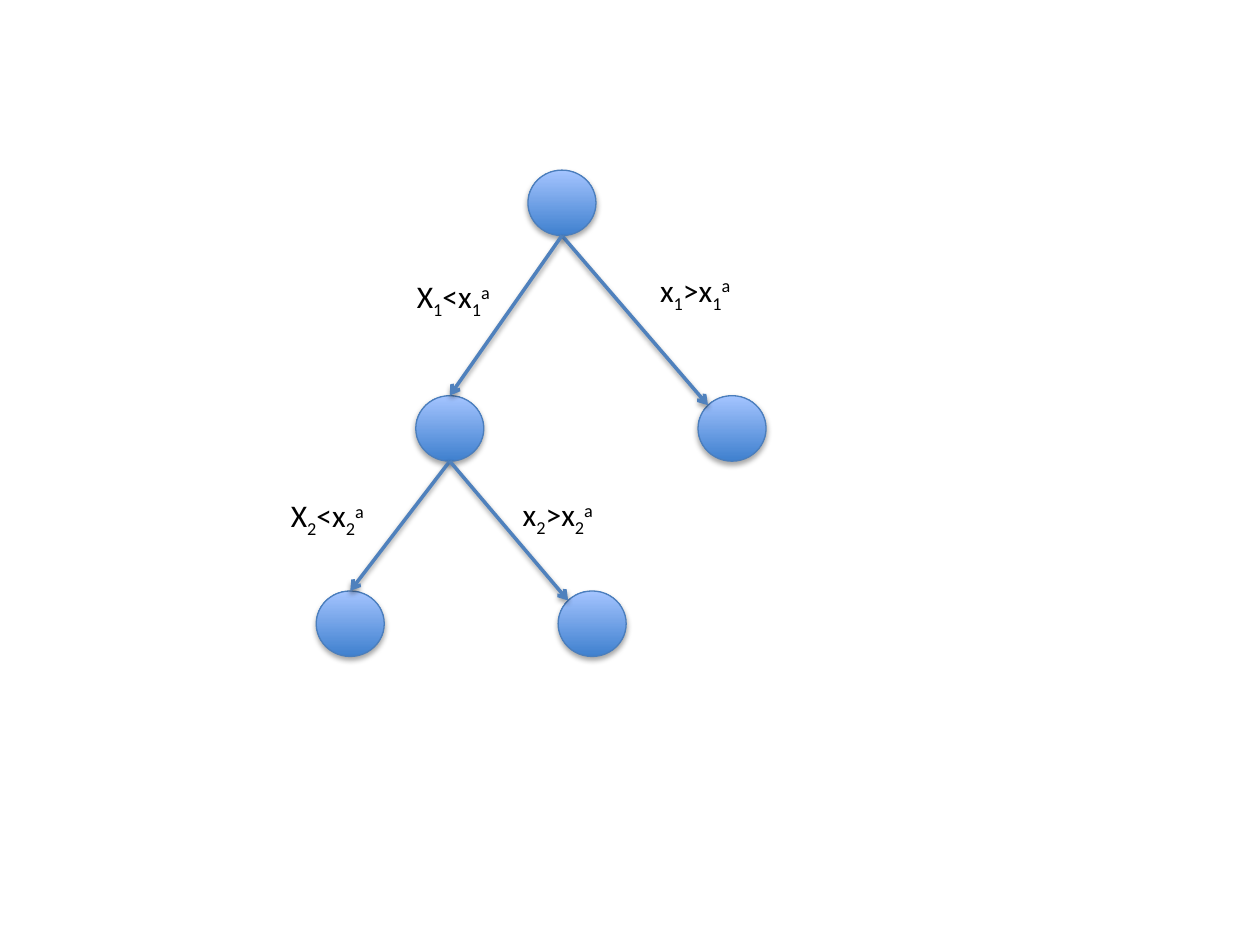
from math import sqrt

from lxml.etree import SubElement
from pptx import Presentation
from pptx.dml.color import RGBColor
from pptx.enum.shapes import MSO_CONNECTOR as Connector, MSO_SHAPE as Shape
from pptx.enum.text import MSO_AUTO_SIZE as AutoSize
from pptx.oxml.ns import qn
from pptx.util import Inches, Pt

NODE_BOTTOM = RGBColor(0x3F, 0x80, 0xCE)
NODE_TOP = RGBColor(0xA4, 0xC4, 0xFF)
NODE_EDGE = RGBColor(0x4B, 0x7E, 0xBC)
BRANCH = RGBColor(0x4F, 0x81, 0xBD)
BLACK = RGBColor(0, 0, 0)

NODE_W, NODE_H = 0.54, 0.52
SUBSCRIPT, SUPERSCRIPT = -25000, 30000


def add_shadow(shape, distance, opacity):
    """Put a soft black shadow under a shape whose line is already set."""
    effects = SubElement(shape._element.spPr, qn("a:effectLst"))
    outer = SubElement(effects, qn("a:outerShdw"), blurRad=str(Pt(3.1)),
                       dist=str(Pt(distance)), dir="5400000", rotWithShape="0")
    black = SubElement(outer, qn("a:srgbClr"), val="000000")
    SubElement(black, qn("a:alpha"), val=str(opacity * 1000))


prs = Presentation()
prs.slide_width, prs.slide_height = Inches(10), Inches(7.5)
slide = prs.slides.add_slide(prs.slide_layouts[6])

# Nodes of the decision tree: left, top
nodes = {
    "root": (4.19, 1.35),
    "right": (5.54, 3.14),
    "left": (3.3, 3.14),
    "left-right": (4.43, 4.69),
    "left-left": (2.51, 4.69),
}
for left, top in nodes.values():
    node = slide.shapes.add_shape(Shape.OVAL, Inches(left), Inches(top),
                                  Inches(NODE_W), Inches(NODE_H))
    node.fill.gradient()
    node.fill.gradient_angle = 90
    for stop, color in zip(node.fill.gradient_stops, (NODE_BOTTOM, NODE_TOP)):
        stop.color.rgb = color
    node.line.color.rgb = NODE_EDGE
    node.line.width = Pt(0.75)
    add_shadow(node, 1.8, 35)

# Left branches end at the top of a node, right branches at its upper left
top_end = (NODE_W / 2, 0)
upper_left_end = (NODE_W / 2 * (1 - sqrt(0.5)), NODE_H / 2 * (1 - sqrt(0.5)))
branches = [
    ("root", "right", upper_left_end),
    ("root", "left", top_end),
    ("left", "left-left", top_end),
    ("left", "left-right", upper_left_end),
]
for parent, child, (dx, dy) in branches:
    parent_left, parent_top = nodes[parent]
    child_left, child_top = nodes[child]
    branch = slide.shapes.add_connector(
        Connector.STRAIGHT,
        Inches(parent_left + NODE_W / 2), Inches(parent_top + NODE_H),
        Inches(child_left + dx), Inches(child_top + dy))
    branch.line.color.rgb = BRANCH
    branch.line.width = Pt(2)
    SubElement(branch.line._get_or_add_ln(), qn("a:tailEnd"), type="arrow")
    add_shadow(branch, 1.6, 38)

# Split conditions: left, top, width, variable, comparison, index
conditions = [
    (5.14, 2.1, 0.81, "x", ">x", "1"),
    (3.21, 2.15, 0.82, "X", "<x", "1"),
    (4.05, 3.88, 0.81, "x", ">x", "2"),
    (2.21, 3.89, 0.82, "X", "<x", "2"),
]
for left, top, width, variable, comparison, index in conditions:
    condition = slide.shapes.add_textbox(Inches(left), Inches(top),
                                         Inches(width), Inches(0.4))
    frame = condition.text_frame
    frame.word_wrap = False
    frame.auto_size = AutoSize.SHAPE_TO_FIT_TEXT
    parts = [(variable, 0), (index, SUBSCRIPT), (comparison, 0),
             (index, SUBSCRIPT), ("a", SUPERSCRIPT)]
    for text, baseline in parts:
        run = frame.paragraphs[0].add_run()
        run.text = text
        run.font.name = "Calibri"
        run.font.size = Pt(18)
        run.font.color.rgb = BLACK
        if baseline:
            run.font._element.set("baseline", str(baseline))

prs.save("out.pptx")
